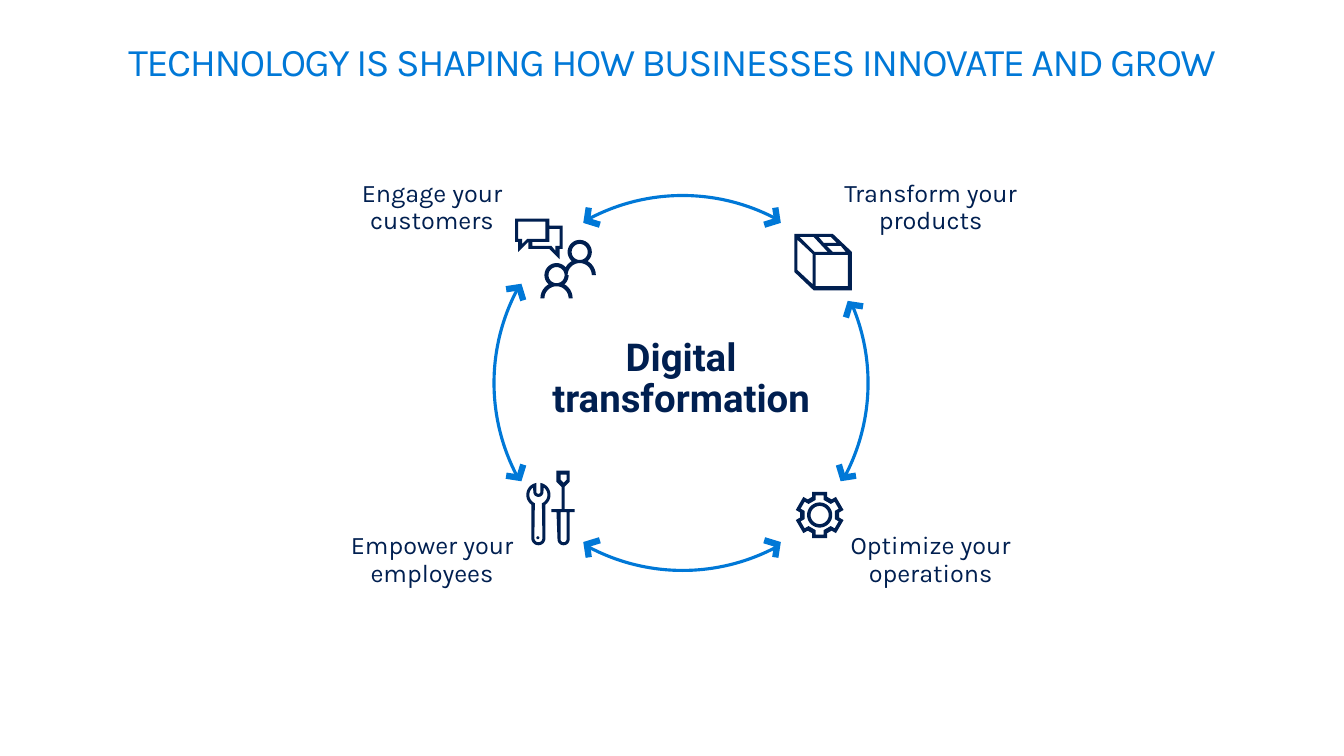
import math
from dataclasses import dataclass

import pptx
import pptx.dml.color
import pptx.enum.shapes
import pptx.enum.text
import pptx.oxml
import pptx.oxml.ns
import pptx.util

PX = 9144
ANCHOR = pptx.enum.text.MSO_ANCHOR
AUTO = pptx.enum.text.MSO_AUTO_SIZE


@dataclass(frozen=True)
class Theme:
    blue: str = "0078D7"
    navy: str = "001F50"
    text_font: str = "Karla"
    hub_font: str = "Roboto"
    title_size: float = 28
    label_size: float = 18
    hub_size: float = 27.4
    arc_weight: float = 2.25
    head_weight: float = 4.5


THEME = Theme()

LABELS = [
    ("Engage your customers", 311, 163, 235),
    ("Transform your products", 796, 163, 254),
    ("Empower your employees", 303, 513, 251),
    ("Optimize your operations", 783, 513, 280),
]

ARCS = [
    (479, 194, 242, 298.5),
    (479, 170, 61.5, 118),
    (465, 182, 337, 28.5),
    (490, 182, 151.5, 208),
]

HEADS = [
    (771, 219, 1, 1, False),
    (582, 219, -1, 1, False),
    (771, 540, 1, -1, False),
    (582, 540, -1, -1, False),
    (836, 474, -1, 1, True),
    (843, 302, -1, -1, True),
    (515, 474, 1, 1, True),
    (515, 285, 1, -1, True),
]

CHAT = [
    [(545, 217), (511, 217), (511, 240), (514, 240), (514, 250), (524, 240),
     (524, 247), (545, 247), (555, 257), (555, 247), (558, 247), (558, 224),
     (545, 224)],
    [(555, 227), (555, 244), (551, 244), (551, 249), (547, 244), (528, 244),
     (528, 240), (545, 240), (545, 227)],
    [(523, 237), (518, 242), (518, 237), (514, 237), (514, 220), (541, 220),
     (541, 237)],
]

BOX = [
    [(788, 232), (788, 270), (807, 288), (845, 288), (845, 250), (826, 232)],
    [(817, 241), (812, 235), (824, 235), (830, 241)],
    [(839, 250), (826, 250), (820, 244), (834, 244)],
    [(841, 284), (809, 284), (809, 253), (841, 253)],
    [(793, 235), (807, 235), (821, 250), (808, 250)],
    [(806, 282), (791, 268), (791, 238), (806, 252)],
]


def px(n):
    return pptx.util.Emu(round(n * PX))


def rgb(code):
    return pptx.dml.color.RGBColor.from_string(code)


def arc(cx, cy, r, start, end):
    steps = max(4, round(abs(end - start) / 10))
    angles = [math.radians(start + (end - start) * i / steps) for i in range(steps + 1)]
    return [(cx + r * math.cos(a), cy + r * math.sin(a)) for a in angles]


def people():
    front, back = (552, 296), (575, 273)
    front_head, back_head = (552, 273), (575, 250)
    outline = (
        arc(*front, 12, 180, 360) + arc(*front, 16, 360, 296)
        + arc(*front_head, 12, 52, 0)
        + arc(*back, 12, 180, 360) + arc(*back, 16, 360, 296)
        + arc(*back_head, 12, 52, -232) + arc(*back, 16, 244, 208)
        + arc(*front_head, 12, -38, -232) + arc(*front, 16, 244, 180)
    )
    return [outline, arc(*front_head, 8, 0, 360), arc(*back_head, 8, 0, 360)]


def gear():
    cx, cy = 813, 511

    def teeth(base, tip, half):
        points = []
        for k in range(6):
            a = math.radians(30 + 60 * k)
            for u, v in [(base, -half), (tip, -half), (tip, half), (base, half)]:
                points.append((cx + u * math.cos(a) - v * math.sin(a),
                               cy + u * math.sin(a) + v * math.cos(a)))
        return points

    return [teeth(18, 23, 7.5), teeth(15, 19.5, 4),
            arc(cx, cy, 12.5, 0, 360), arc(cx, cy, 9, 0, 360)]


def wrench():
    outer = (arc(534, 488, 2, 0, 180) + arc(534, 491, 12, 260, 126)
             + arc(534, 534, 7, 180, 0) + arc(534, 491, 12, 54, -80))
    inner = (arc(534, 491, 9, -54, 67) + arc(534, 534, 4, 0, 180)
             + arc(534, 491, 9, 113, 234) + arc(534, 488, 5, 180, 0))
    return [outer, inner]


def screwdriver():
    outer = [(565, 508), (570, 508), (570, 505), (560, 505), (560, 483),
             (565, 478), (565, 467), (552, 467), (552, 478), (557, 483),
             (557, 505), (547, 505), (547, 508), (552, 508)]
    tip = [(556, 476), (556, 471), (562, 471), (562, 476), (559, 479)]
    handle = [(562, 508)] + arc(559, 535, 3, 0, 180) + [(556, 508)]
    return [outer + arc(559, 535, 6, 180, 0), tip, handle]


def write(s, text, font=THEME.text_font, size=THEME.label_size, color=THEME.navy,
          bold=False, spacing=0, anchor=ANCHOR.MIDDLE, inset=(0, 0), auto=AUTO.NONE):
    tf = s.text_frame
    tf.word_wrap = True
    tf.auto_size = auto
    tf.vertical_anchor = anchor
    tf.margin_left = tf.margin_right = px(inset[0])
    tf.margin_top = tf.margin_bottom = px(inset[1])
    p = tf.paragraphs[0]
    p.alignment = pptx.enum.text.PP_ALIGN.CENTER
    p.line_spacing = 0.9
    r = p.add_run()
    r.text = text
    r.font.name, r.font.size, r.font.bold = font, pptx.util.Pt(size), bold
    r.font.color.rgb = rgb(color)
    if spacing:
        r.font._element.set("spc", str(spacing * 100))


def add_label(slide, text, x, y, w, h, **style):
    s = slide.shapes.add_textbox(px(x), px(y), px(w), px(h))
    write(s, text, **style)


def stroke(s, weight):
    s.shadow.inherit = False
    s.fill.background()
    s.line.color.rgb = rgb(THEME.blue)
    s.line.width = pptx.util.Pt(weight)
    ln = s._element.spPr.find(pptx.oxml.ns.qn("a:ln"))
    ln.append(pptx.oxml.parse_xml(
        f'<a:miter {pptx.oxml.ns.nsdecls("a")} lim="800000"/>'))


def paint(s):
    s.shadow.inherit = False
    s.fill.solid()
    s.fill.fore_color.rgb = rgb(THEME.navy)
    s.line.fill.background()


def add_outline(slide, contours, close=True):
    contours = [[(px(x), px(y)) for x, y in c] for c in contours]
    builder = slide.shapes.build_freeform(*contours[0][0], scale=1.0)
    for i, points in enumerate(contours):
        if i:
            builder.move_to(*points[0])
        builder.add_line_segments(points[1:], close=close)
    return builder.convert_to_shape()


def add_arc(slide, x, y, start, end):
    s = slide.shapes.add_shape(pptx.enum.shapes.MSO_SHAPE.ARC,
                               px(x), px(y), px(396), px(396))
    s.adjustments[0], s.adjustments[1] = start * 0.6, end * 0.6
    stroke(s, THEME.arc_weight)


def add_head(slide, x, y, sx, sy, upright):
    barbs = [(4, -13), (-13, -2)] if upright else [(-13, 4), (-2, -13)]
    a, b = [(x + sx * dx, y + sy * dy) for dx, dy in barbs]
    stroke(add_outline(slide, [[a, (x, y), b]], close=False), THEME.head_weight)


def main():
    prs = pptx.Presentation()
    prs.slide_width, prs.slide_height = px(1333), px(750)
    slide = prs.slides.add_slide(prs.slide_layouts[5])
    title = slide.shapes.title
    title.left, title.top, title.width, title.height = px(29), px(32), px(1275), px(98)
    write(title, "TECHNOLOGY IS SHAPING HOW BUSINESSES INNOVATE AND GROW",
          size=THEME.title_size, color=THEME.blue, spacing=-1,
          anchor=ANCHOR.TOP, inset=(16, 10))
    for text, x, y, w in LABELS:
        add_label(slide, text, x, y, w, 86, inset=(20, 16), auto=AUTO.SHAPE_TO_FIT_TEXT)
    add_label(slide, "Digital transformation", 537, 333, 277, 87,
              font=THEME.hub_font, size=THEME.hub_size, bold=True)
    for spec_arc in ARCS:
        add_arc(slide, *spec_arc)
    for head in HEADS:
        add_head(slide, *head)
    for icon in [people(), CHAT, BOX, gear(), screwdriver(), wrench()]:
        paint(add_outline(slide, icon))
    paint(slide.shapes.add_shape(pptx.enum.shapes.MSO_SHAPE.OVAL,
                                 px(532), px(532), px(3), px(3)))
    prs.save("out.pptx")


if __name__ == "__main__":
    main()
